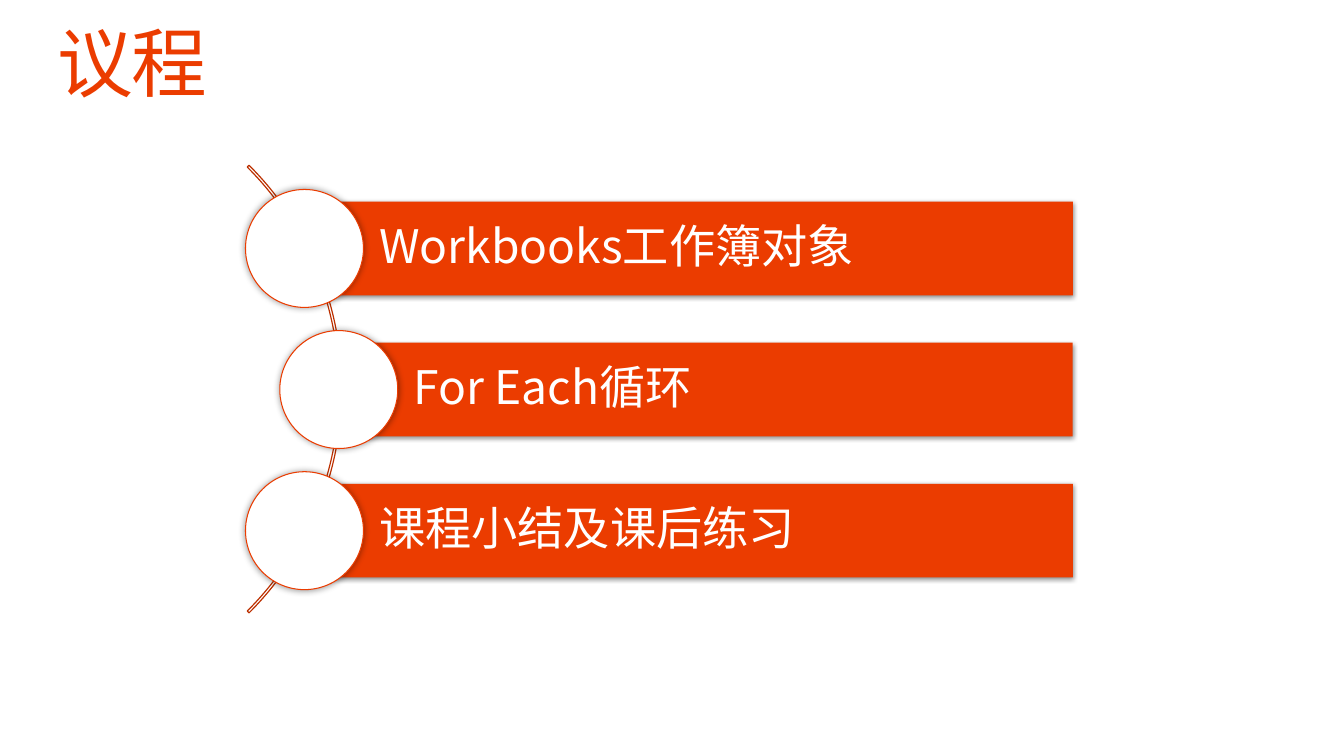
from lxml.etree import SubElement
from pptx import Presentation
from pptx.dml.color import RGBColor
from pptx.enum.shapes import MSO_SHAPE as Shape
from pptx.enum.text import MSO_ANCHOR as Anchor, MSO_AUTO_SIZE as AutoSize, PP_ALIGN as Align
from pptx.oxml.ns import qn
from pptx.util import Inches, Pt


def color(value):
    return RGBColor.from_string(value)


class AgendaSlide:
    accent = "EB3C00"
    arc_line = "BC3000"
    white = "FFFFFF"
    title_font = "Roboto"
    body_font = "Noto Sans CJK SC"

    def __init__(self, presentation):
        self.slide = presentation.slides.add_slide(presentation.slide_layouts[5])

    def set_text(self, shape, text, font, size, fill, margins):
        frame = shape.text_frame
        frame.word_wrap = True
        frame.auto_size = AutoSize.NONE
        frame.vertical_anchor = Anchor.MIDDLE
        frame.margin_left, frame.margin_top, frame.margin_right, frame.margin_bottom = map(Inches, margins)
        paragraph = frame.paragraphs[0]
        paragraph.text = text
        paragraph.alignment = Align.LEFT
        paragraph.line_spacing = 0.9
        paragraph.font.name = font
        paragraph.font.size = Pt(size)
        paragraph.font.color.rgb = color(fill)
        run_properties = paragraph.runs[0].font._element
        SubElement(run_properties, qn("a:ea"), typeface=self.body_font)
        return run_properties

    def title(self, text, left, top, width, height):
        shape = self.slide.shapes.title
        shape.left, shape.top, shape.width, shape.height = map(Inches, (left, top, width, height))
        run_properties = self.set_text(shape, text, self.title_font, 54, self.accent, (0, 0, 0, 0))
        run_properties.set("spc", "-100")

    def shape(self, kind, left, top, width, height, fill=None, line=None, line_width=0.75):
        shape = self.slide.shapes.add_shape(kind, *map(Inches, (left, top, width, height)))
        shape.shadow.inherit = False
        if fill:
            shape.fill.solid()
            shape.fill.fore_color.rgb = color(fill)
        else:
            shape.fill.background()
        if line:
            shape.line.color.rgb = color(line)
            shape.line.width = Pt(line_width)
        else:
            shape.line.fill.background()
        return shape

    def shadow(self, shape, opacity, blur, distance, angle):
        effects = shape._element.spPr.find(qn("a:effectLst"))
        outer = SubElement(effects, qn("a:outerShdw"), blurRad=str(Pt(blur)), dist=str(Pt(distance)),
                           dir=str(angle * 60000), algn="ctr", rotWithShape="0")
        black = SubElement(outer, qn("a:srgbClr"), val="000000")
        SubElement(black, qn("a:alpha"), val=str(opacity * 1000))

    def arc(self, left, top, size):
        shape = self.shape(Shape.BLOCK_ARC, left, top, size, size, line=self.arc_line, line_width=0.85)
        for index, value in enumerate((189, 27, 0.004)):
            shape.adjustments[index] = value

    def bar(self, text, left, top, right, height):
        shape = self.shape(Shape.RECTANGLE, left, top, right - left, height, fill=self.accent)
        self.shadow(shape, 45, 3.5, 1.1, 90)
        self.set_text(shape, text, self.body_font, 33, self.white, (0.74, 0.09, 0.09, 0.09))

    def circle(self, center_x, center_y, size):
        shape = self.shape(Shape.OVAL, center_x - size / 2, center_y - size / 2, size, size,
                           fill=self.white, line=self.accent)
        self.shadow(shape, 40, 5, 0, 0)


def main():
    presentation = Presentation()
    presentation.slide_width = Inches(13.33)
    presentation.slide_height = Inches(7.5)
    agenda = AgendaSlide(presentation)
    agenda.title("议程", 0.57, 0.25, 12.19, 0.82)
    agenda.arc(-2.89, 0.72, 6.28)

    bar_height = 0.93
    topics = (("Workbooks工作簿对象", 3.02), ("For Each循环", 3.36), ("课程小结及课后练习", 3.02))
    for row, (text, left) in enumerate(topics):
        top = 2 + row * 1.4
        agenda.bar(text, left, top, 10.64, bar_height)
        agenda.circle(left, top + bar_height / 2, 1.17)

    presentation.save("out.pptx")


if __name__ == "__main__":
    main()
